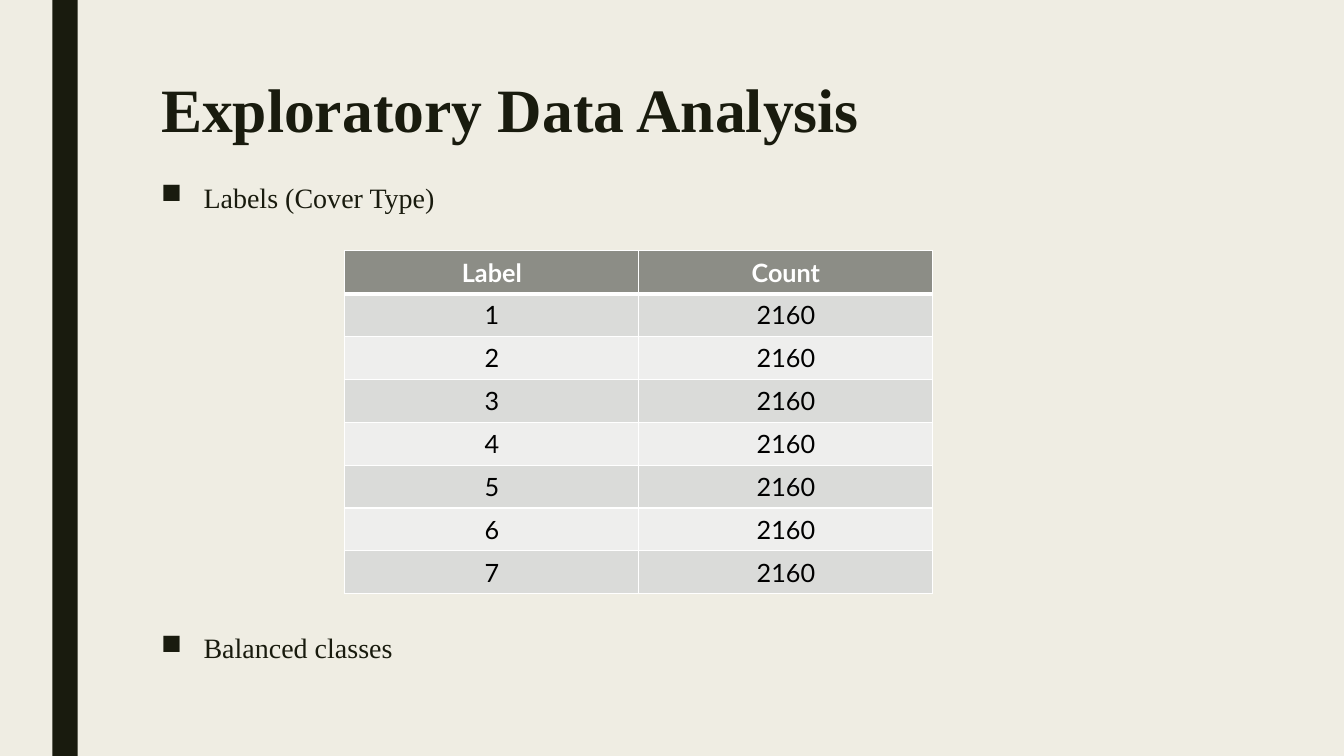
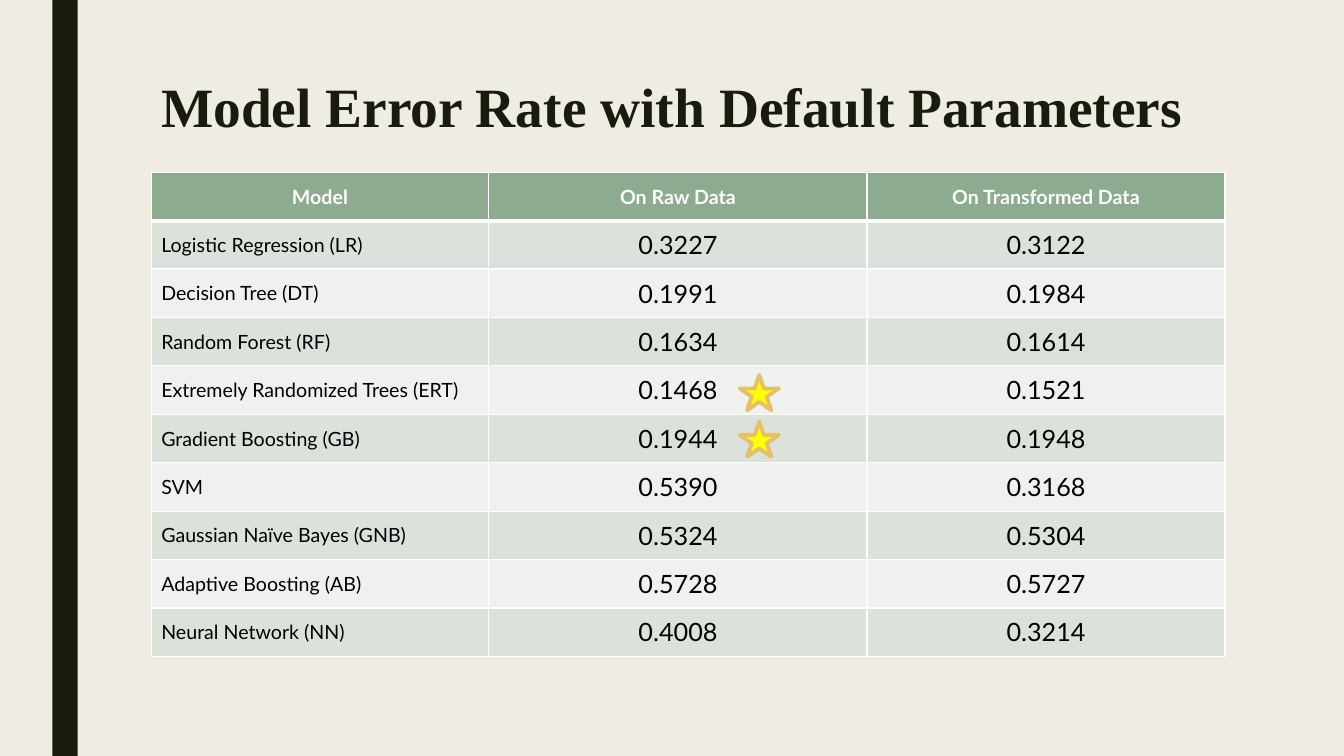
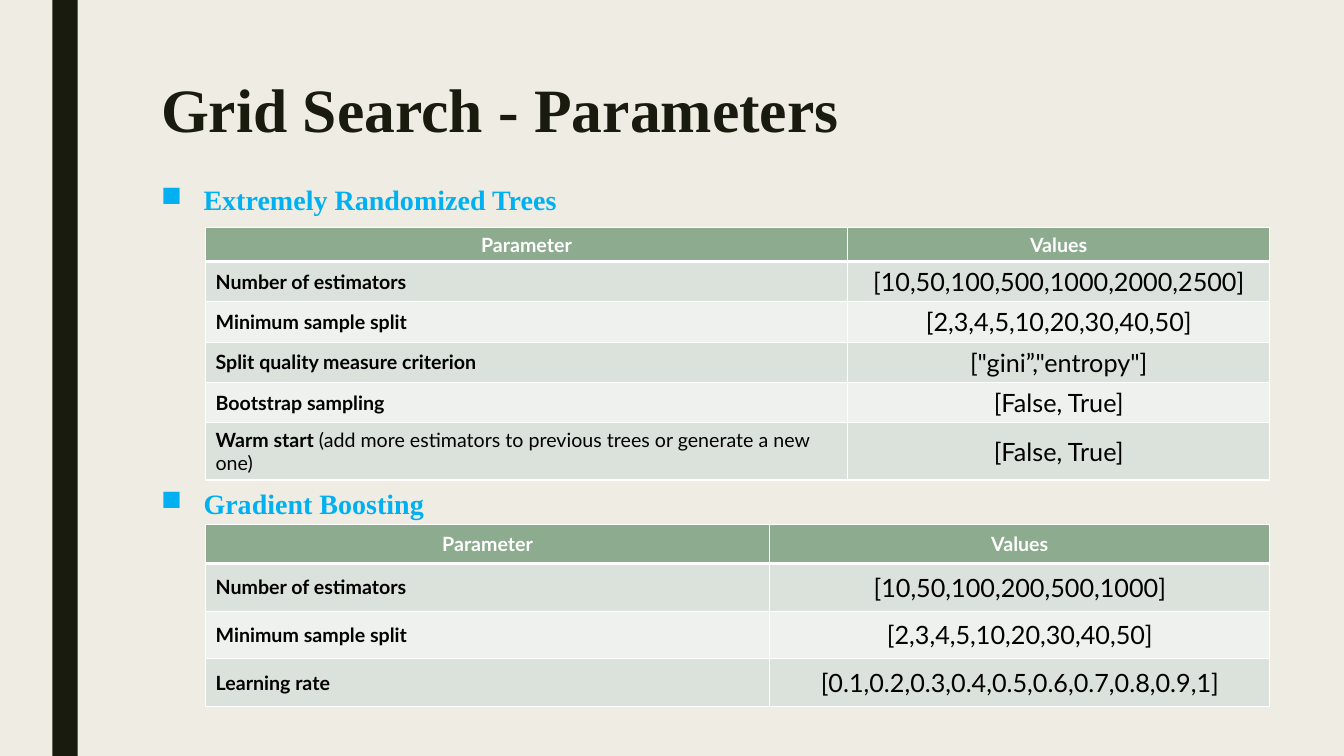
from lxml import etree
from pptx import Presentation
from pptx.dml.color import RGBColor
from pptx.enum.shapes import MSO_SHAPE
from pptx.enum.text import MSO_ANCHOR, PP_ALIGN
from pptx.oxml.ns import qn
from pptx.util import Cm, Pt

RECT, STAR = MSO_SHAPE.RECTANGLE, MSO_SHAPE.STAR_5_POINT
MIDDLE = MSO_ANCHOR.MIDDLE
LEFT, CENTER = PP_ALIGN.LEFT, PP_ALIGN.CENTER

SERIF, SANS = "Times New Roman", "Lato"
PAPER, INK, WHITE, BLACK = "EFEDE3", "191B0E", "FFFFFF", "000000"
SKY, YELLOW, GOLD = "00B0F0", "FFFF00", "E6C069"
# Table fills: header, odd rows, even rows
GREY = ("8C8D86", "DADBD9", "EEEEED")
GREEN = ("8DAB8E", "DBE2DB", "EEF1EE")

SLIDE_W, SLIDE_H = 33.87, 19.05
TEXT_X, TEXT_W = 3.81, 26.67
INDENT = 1.07

LABEL_ROWS = [("Label", "Count")] + [(str(n), "2160") for n in range(1, 8)]
ERROR_ROWS = [
    ("Model", "On Raw Data", "On Transformed Data"),
    ("Logistic Regression (LR)", "0.3227", "0.3122"),
    ("Decision Tree (DT)", "0.1991", "0.1984"),
    ("Random Forest (RF)", "0.1634", "0.1614"),
    ("Extremely Randomized Trees (ERT)", "0.1468", "0.1521"),
    ("Gradient Boosting (GB)", "0.1944", "0.1948"),
    ("SVM", "0.5390", "0.3168"),
    ("Gaussian Naïve Bayes (GNB)", "0.5324", "0.5304"),
    ("Adaptive Boosting (AB)", "0.5728", "0.5727"),
    ("Neural Network (NN)", "0.4008", "0.3214"),
]
TREES_ROWS = [
    ("Parameter", "Values"),
    ("Number of estimators", "[10,50,100,500,1000,2000,2500]"),
    ("Minimum sample split", "[2,3,4,5,10,20,30,40,50]"),
    ("Split quality measure criterion", '["gini”,"entropy"]'),
    ("Bootstrap sampling", "[False, True]"),
    (("Warm start ", "(add more estimators to previous trees or generate a new one)"),
     "[False, True]"),
]
BOOSTING_ROWS = [
    ("Parameter", "Values"),
    ("Number of estimators", "[10,50,100,200,500,1000]"),
    ("Minimum sample split", "[2,3,4,5,10,20,30,40,50]"),
    ("Learning rate", "[0.1,0.2,0.3,0.4,0.5,0.6,0.7,0.8,0.9,1]"),
]


def rgb(hex_color):
    return RGBColor.from_string(hex_color)


def style_run(r, font, size, color, bold=False):
    r.font.name, r.font.size, r.font.bold = font, Pt(size), bold
    r.font.color.rgb = rgb(color)


def add_shape(slide, kind, box, fill, line=None, width=1):
    sp = slide.shapes.add_shape(kind, *map(Cm, box))
    sp.shadow.inherit = False
    sp.fill.solid()
    sp.fill.fore_color.rgb = rgb(fill)
    if line:
        sp.line.color.rgb = rgb(line)
        sp.line.width = Pt(width)
    else:
        sp.line.fill.background()


def add_text(slide, top, height, text, size, color, bold, spacing):
    """Add a one-paragraph text box in the text column; return the paragraph."""
    sp = slide.shapes.add_textbox(Cm(TEXT_X), Cm(top), Cm(TEXT_W), Cm(height))
    tf = sp.text_frame
    tf.word_wrap = True
    tf.text = text
    p = tf.paragraphs[0]
    p.line_spacing = spacing
    style_run(p.runs[0], SERIF, size, color, bold)
    return p


def add_bullet(slide, top, text, color=INK, bold=False, spacing=0.84):
    p = add_text(slide, top, 1, text, 20, color, bold, spacing)
    pPr = p._p.get_or_add_pPr()
    pPr.set("marL", str(Cm(INDENT)))
    pPr.set("indent", str(-Cm(INDENT)))
    etree.SubElement(pPr, qn("a:buChar")).set("char", "■")


def add_slide(prs, title, size=44):
    """Add a slide with the dark side band and the title."""
    slide = prs.slides.add_slide(prs.slide_layouts[6])
    add_shape(slide, RECT, (1.32, 0, 0.64, SLIDE_H), INK)
    add_text(slide, 1.9, 2.64, title, size, INK, True, 0.89)
    return slide


def set_borders(cell, **widths):
    tcPr = cell._tc.get_or_add_tcPr()
    for side in "LRTB":
        ln = etree.SubElement(tcPr, qn("a:ln" + side), w=str(Pt(widths.get(side, 1))))
        fill = etree.SubElement(ln, qn("a:solidFill"))
        etree.SubElement(fill, qn("a:srgbClr"), val=WHITE)


def fill_cell(cell, parts, fill, align, size, color, bold):
    """Write the parts as runs; only the first one may be bold."""
    cell.fill.solid()
    cell.fill.fore_color.rgb = rgb(fill)
    cell.vertical_anchor = MIDDLE
    p = cell.text_frame.paragraphs[0]
    p.alignment = align
    for i, part in enumerate(parts):
        r = p.add_run()
        r.text = part
        style_run(r, SANS, size, color, bold and i == 0)


def add_table(slide, left, top, widths, heights, rows, palette=GREEN,
              head_size=14, names=(LEFT, 14, False)):
    """Add a banded table; names is (align, size, bold) of the first column."""
    frame = slide.shapes.add_table(len(rows), len(widths), Cm(left), Cm(top),
                                   Cm(sum(widths)), Cm(sum(heights)))
    table = frame.table
    for column, width in zip(table.columns, widths):
        column.width = Cm(width)
    for i, (row, height) in enumerate(zip(rows, heights)):
        table.rows[i].height = Cm(height)
        for j, text in enumerate(row):
            cell = table.cell(i, j)
            parts = (text,) if isinstance(text, str) else text
            if i == 0:
                set_borders(cell, B=3)
                fill_cell(cell, parts, palette[0], CENTER, head_size, WHITE, True)
            else:
                set_borders(cell, T=3 if i == 1 else 1)
                align, size, bold = names if j == 0 else (CENTER, 18, False)
                fill_cell(cell, parts, palette[2 - i % 2], align, size, BLACK, bold)


def labels_slide(prs):
    slide = add_slide(prs, "Exploratory Data Analysis")
    add_bullet(slide, 4.55, "Labels (Cover Type)")
    add_table(slide, 8.69, 6.32, [7.41] * 2, [1.08] * 8, LABEL_ROWS, GREY,
              head_size=18, names=(CENTER, 18, False))
    add_bullet(slide, 15.9, "Balanced classes")


def error_rate_slide(prs):
    slide = add_slide(prs, "Model Error Rate with Default Parameters", 39.6)
    add_table(slide, TEXT_X, 4.34, [8.51, 9.53, 9.02], [1.22] * 10, ERROR_ROWS)
    for top in (9.45, 10.62):
        add_shape(slide, STAR, (18.64, top, 0.99, 0.89), YELLOW, GOLD, 2.75)


def grid_search_slide(prs):
    slide = add_slide(prs, "Grid Search - Parameters")
    sections = [
        (4.55, "Extremely Randomized Trees", 5.74, [16.18, 10.64],
         [0.82] + [0.97] * 4 + [1.37], TREES_ROWS),
        (12.2, "Gradient Boosting", 13.21, [14.22, 12.6],
         [0.99] + [1.2] * 3, BOOSTING_ROWS),
    ]
    for top, heading, table_top, widths, heights, rows in sections:
        add_bullet(slide, top, heading, SKY, True, 0.94)
        add_table(slide, 5.18, table_top, widths, heights, rows, names=(LEFT, 14, True))


def main():
    prs = Presentation()
    prs.slide_width, prs.slide_height = Cm(SLIDE_W), Cm(SLIDE_H)
    background = prs.slide_master.background.fill
    background.solid()
    background.fore_color.rgb = rgb(PAPER)
    labels_slide(prs)
    error_rate_slide(prs)
    grid_search_slide(prs)
    prs.save("out.pptx")


if __name__ == "__main__":
    main()
